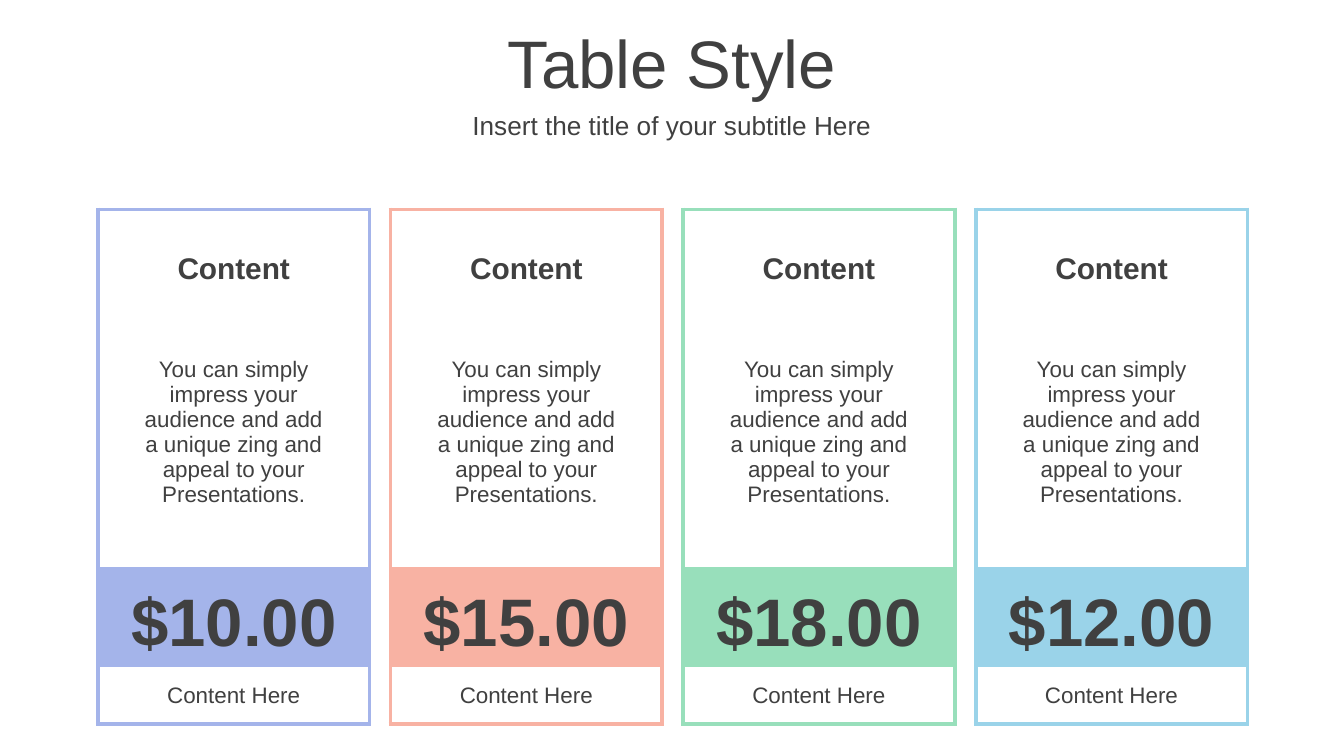
from dataclasses import dataclass

from lxml import etree
from pptx import Presentation
from pptx import util as u
from pptx.dml import color
from pptx.enum import text
from pptx.oxml import ns


@dataclass(frozen=True)
class Theme:
    font: str = "Arial"
    ink: str = "404040"
    paper: str = "FFFFFF"
    title: float = 36
    subtitle: float = 14
    heading: float = 16
    body: float = 12
    price: float = 36
    first_gap: float = 14
    gap: float = 18
    border: float = 2.25


THEME = Theme()
MIDDLE = text.MSO_ANCHOR.MIDDLE
BOTTOM = text.MSO_ANCHOR.BOTTOM

BODY = ("You can simply impress your audience and add a unique zing "
        "and appeal to your Presentations.")
PLANS = [("$10.00", "A4B4EA"), ("$15.00", "F8B2A3"),
         ("$18.00", "98DFBB"), ("$12.00", "9AD3E9")]

# Card grid in centimetres
COLUMNS = [0.58, 3.92, 0.58]
ROWS = [0.36, 1.07, 0.36, 1.07, 2.46, 0.36, 1.9, 1.07]
PRICE_ROW, FOOTER_ROW = 6, 7
CARD_LEFT, CARD_TOP, CARD_PITCH = 1.85, 3.96, 5.53


def apply_format(target, values):
    for name, value in values.items():
        setattr(target, name, value)


def write(frame, words, size, bold=False):
    paragraph = frame.paragraphs[0]
    paragraph.alignment = text.PP_ALIGN.CENTER
    run = paragraph.add_run()
    run.text = words
    apply_format(run.font, {"name": THEME.font, "size": u.Pt(size), "bold": bold})
    run.font.color.rgb = color.RGBColor.from_string(THEME.ink)


def place(shape, box):
    lengths = [u.Cm(value) for value in box]
    apply_format(shape, dict(zip(("left", "top", "width", "height"), lengths)))


def add_heading(slide, title_box, subtitle_box):
    title = slide.shapes.title
    subtitle = slide.shapes.add_textbox(0, 0, 0, 0)
    lines = [(title, title_box, "Table Style", THEME.title),
             (subtitle, subtitle_box, "Insert the title of your subtitle Here",
              THEME.subtitle)]
    for shape, box, words, size in lines:
        place(shape, box)
        apply_format(shape.text_frame, {
            "word_wrap": True, "vertical_anchor": MIDDLE,
            "auto_size": text.MSO_AUTO_SIZE.NONE})
        write(shape.text_frame, words, size)


def set_borders(cell, edges, accent):
    """Draw the named edges in the accent colour and clear the others."""
    properties = cell._tc.get_or_add_tcPr()
    for edge in "LRTB":
        line = etree.SubElement(properties, ns.qn(f"a:ln{edge}"))
        if edge in edges:
            line.set("w", str(u.Pt(THEME.border)))
            fill = etree.SubElement(line, ns.qn("a:solidFill"))
            etree.SubElement(fill, ns.qn("a:srgbClr"), val=accent)
        else:
            etree.SubElement(line, ns.qn("a:noFill"))


def outer_edges(row, column):
    tests = {"L": column == 0, "R": column == len(COLUMNS) - 1,
             "T": row == 0, "B": row == len(ROWS) - 1}
    return [edge for edge, on_edge in tests.items() if on_edge]


def style_empty(cell, size):
    apply_format(cell, {"margin_top": 0, "margin_bottom": 0})
    paragraph = cell.text_frame.paragraphs[0]._p
    etree.SubElement(paragraph, ns.qn("a:endParaRPr"), sz=str(size * 100))


def add_price_card(slide, box, price, accent):
    lengths = [u.Cm(value) for value in box]
    table = slide.shapes.add_table(len(ROWS), len(COLUMNS), *lengths).table
    apply_format(table, {"first_row": False, "horz_banding": False})
    for column, width in zip(table.columns, COLUMNS):
        column.width = u.Cm(width)
    for row, height in zip(table.rows, ROWS):
        row.height = u.Cm(height)

    # Merged areas: body text, price band, footer
    table.cell(3, 1).merge(table.cell(4, 1))
    for row in (PRICE_ROW, FOOTER_ROW):
        table.cell(row, 0).merge(table.cell(row, 2))

    contents = {
        (1, 1): ("Content", THEME.heading, True, MIDDLE),
        (3, 1): (BODY, THEME.body, False, MIDDLE),
        (PRICE_ROW, 0): (price, THEME.price, True, BOTTOM),
        (FOOTER_ROW, 0): ("Content Here", THEME.body, False, MIDDLE),
    }
    for row in range(len(ROWS)):
        for column in range(len(COLUMNS)):
            cell = table.cell(row, column)
            edges = outer_edges(row, column)
            if cell.is_merge_origin and cell.span_width > 1:
                edges.append("R")
            set_borders(cell, edges, accent)
            cell.fill.solid()
            cell.fill.fore_color.rgb = color.RGBColor.from_string(
                accent if row == PRICE_ROW else THEME.paper)
            if (row, column) in contents:
                words, size, bold, anchor = contents[row, column]
                cell.vertical_anchor = anchor
                write(cell.text_frame, words, size, bold)
            else:
                style_empty(cell, THEME.gap if row else THEME.first_gap)


def main():
    presentation = Presentation()
    apply_format(presentation, {"slide_width": u.Cm(25.4),
                                "slide_height": u.Cm(14.29)})
    slide = presentation.slides.add_slide(presentation.slide_layouts[5])

    add_heading(slide, (0, 0.36, 25.4, 1.6), (0, 1.96, 25.4, 0.79))
    for index, (price, accent) in enumerate(PLANS):
        box = (CARD_LEFT + index * CARD_PITCH, CARD_TOP, sum(COLUMNS), sum(ROWS))
        add_price_card(slide, box, price, accent)

    presentation.save("out.pptx")


if __name__ == "__main__":
    main()
